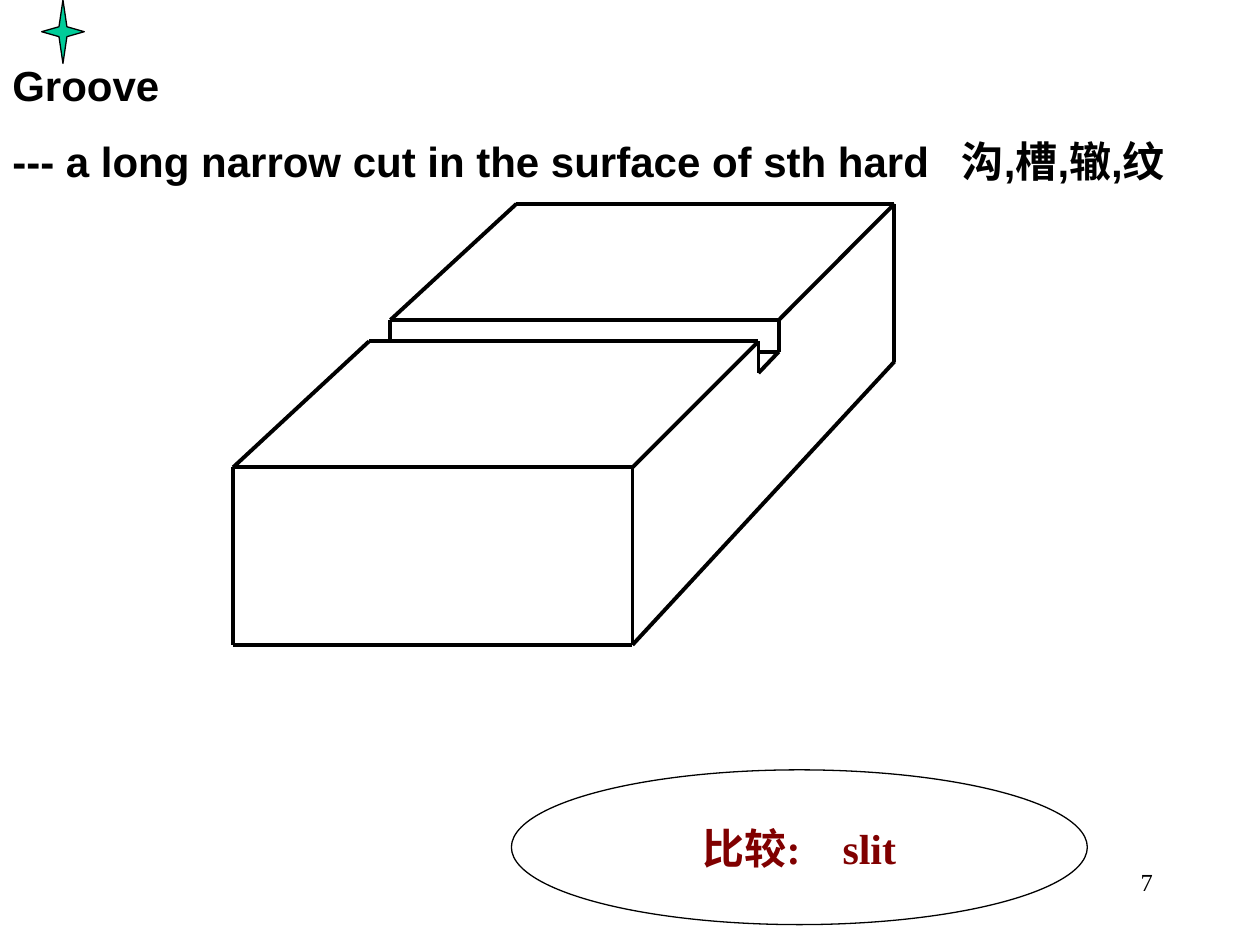
from dataclasses import dataclass
from itertools import pairwise

from lxml import etree
from pptx import Presentation
from pptx.dml.color import RGBColor
from pptx.enum.shapes import MSO_CONNECTOR, MSO_SHAPE
from pptx.enum.text import MSO_ANCHOR, PP_ALIGN as Align
from pptx.oxml.ns import qn
from pptx.util import Cm, Pt

COLORS = {"ink": "000000", "paper": "FFFFFF", "star": "00CC99", "compare": "800000"}


@dataclass(frozen=True)
class Point:
    x: float
    y: float


@dataclass(frozen=True)
class TextStyle:
    font: str
    size: float
    color: str = "ink"
    bold: bool = True
    align: Align = Align.LEFT
    gap: float = 0


def color(name: str) -> RGBColor:
    return RGBColor.from_string(COLORS[name])


def write(frame, text: str, style: TextStyle) -> None:
    frame.text = text
    for index, paragraph in enumerate(frame.paragraphs):
        paragraph.alignment = style.align
        if index:
            paragraph.space_before = Pt(style.gap)
        for run in paragraph.runs:
            run.font.name = style.font
            run.font.size = Pt(style.size)
            run.font.bold = style.bold
            run.font.color.rgb = color(style.color)


def add_text(left: float, top: float, width: float, height: float,
             text: str, style: TextStyle):
    frame = slide.shapes.add_textbox(Cm(left), Cm(top), Cm(width), Cm(height)).text_frame
    frame.word_wrap = True
    write(frame, text, style)
    return frame


def paint(shape, fill: str) -> None:
    shape.shadow.inherit = False
    shape.fill.solid()
    shape.fill.fore_color.rgb = color(fill)
    shape.line.color.rgb = color("ink")
    shape.line.width = Pt(0.75)


def add_edges(*corners: Point) -> None:
    for start, end in pairwise(corners):
        edge = slide.shapes.add_connector(
            MSO_CONNECTOR.STRAIGHT, Cm(start.x), Cm(start.y), Cm(end.x), Cm(end.y))
        edge.line.color.rgb = color("ink")
        edge.line.width = Pt(2.25)
        etree.SubElement(edge._element.spPr, qn("a:effectLst"))


def add_star(center: Point, reach: Point, waist: Point) -> None:
    offsets = [(-reach.x, 0), (-waist.x, -waist.y), (0, -reach.y), (waist.x, -waist.y),
               (reach.x, 0), (waist.x, waist.y), (0, reach.y), (-waist.x, waist.y)]
    tips = [(Cm(center.x + dx), Cm(center.y + dy)) for dx, dy in offsets]
    builder = slide.shapes.build_freeform(*tips[0])
    builder.add_line_segments(tips[1:], close=True)
    paint(builder.convert_to_shape(), "star")


prs = Presentation()
prs.slide_width, prs.slide_height = Cm(25.4), Cm(19.05)
slide = prs.slides.add_slide(prs.slide_layouts[6])

# Slide number
add_text(18.21, 17.35, 5.28, 1.27, "7",
         TextStyle("Times New Roman", 14, bold=False, align=Align.RIGHT))

# Term and definition; a tab stop sets off the translation
definition = add_text(
    0, 1.07, 25.4, 4.37,
    "Groove\n--- a long narrow cut in the surface of sth hard\t沟,槽,辙,纹",
    TextStyle("Arial", 24, gap=15))
tabs = etree.Element(qn("a:tabLst"))
etree.SubElement(tabs, qn("a:tab"), pos=str(Cm(19.14)), algn="l")
definition.paragraphs[1]._p.get_or_add_pPr().append(tabs)

# Corner star
add_star(Point(1.27, 0.64), Point(0.43, 0.64), Point(0.08, 0.1))

# Block corners
front_left, front_right = Point(4.7, 9.42), Point(12.75, 9.42)
base_left, base_right = Point(4.7, 13), Point(12.75, 13)
back_left, back_right = Point(10.41, 4.11), Point(18.03, 4.11)
base_back = Point(18.03, 7.29)

# Groove corners
near_left, near_right = Point(7.44, 6.88), Point(15.29, 6.88)
far_left, far_right = Point(7.87, 6.45), Point(15.7, 6.45)
far_left_floor, far_right_floor = Point(7.87, 6.88), Point(15.7, 7.09)
near_floor, inner_floor = Point(15.29, 7.52), Point(15.29, 7.09)

# Block: front top, front face, right side, back top
add_edges(front_left, near_left, near_right, front_right, front_left)
add_edges(front_left, base_left, base_right, front_right)
add_edges(base_right, base_back, back_right)
add_edges(far_left, back_left, back_right, far_right, far_left)

# Groove walls and floor
add_edges(far_left, far_left_floor)
add_edges(near_right, near_floor, far_right_floor, far_right)
add_edges(far_right_floor, inner_floor)

# Word to compare
compare = slide.shapes.add_shape(MSO_SHAPE.OVAL, Cm(10.31), Cm(15.52), Cm(11.61), Cm(3.12))
paint(compare, "paper")
compare.text_frame.word_wrap = False
compare.text_frame.vertical_anchor = MSO_ANCHOR.MIDDLE
write(compare.text_frame, "比较:　slit",
      TextStyle("Times New Roman", 24, "compare", align=Align.CENTER))

prs.save("out.pptx")
